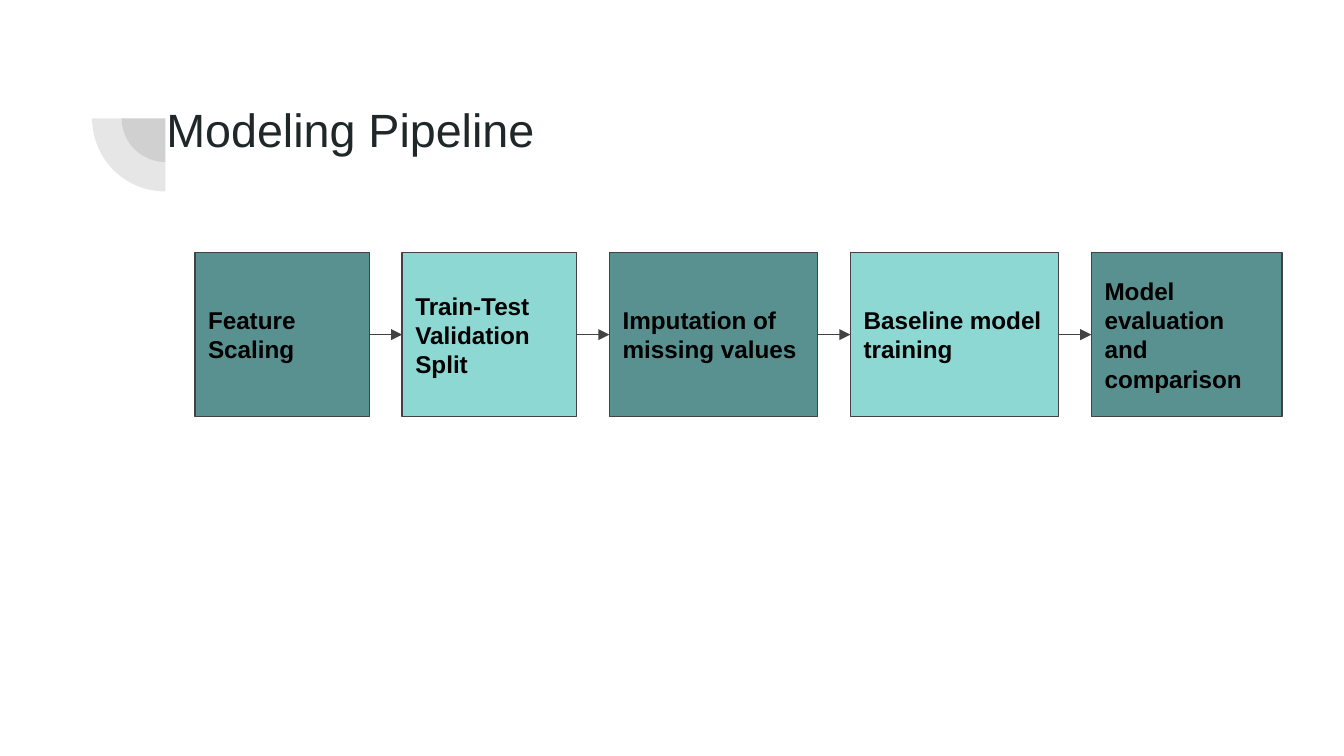
from dataclasses import dataclass

from lxml import etree
from pptx import Presentation
from pptx.dml.color import RGBColor
from pptx.enum.shapes import MSO_CONNECTOR, MSO_SHAPE
from pptx.enum.text import MSO_ANCHOR, PP_ALIGN
from pptx.oxml.ns import qn
from pptx.shapes.autoshape import Shape
from pptx.slide import Slide
from pptx.text.text import TextFrame
from pptx.util import Inches, Pt

FONT = "Arial"
DARK_TEAL = RGBColor(0x59, 0x91, 0x91)
LIGHT_TEAL = RGBColor(0x8D, 0xD8, 0xD3)
GRAY = RGBColor(0x42, 0x42, 0x42)
TITLE_COLOR = RGBColor(0x20, 0x27, 0x29)
BLACK = RGBColor(0x00, 0x00, 0x00)

SLIDE_WIDTH = Inches(10)
SLIDE_HEIGHT = SLIDE_WIDTH * 9 // 16
ROW_LEFT, ROW_RIGHT, ROW_TOP, ROW_HEIGHT = 1.45, 9.54, 1.88, 1.22
LINE_WIDTH = Pt(0.75)
ARC_CENTER_X, ARC_CENTER_Y = 1.23, 0.88


@dataclass
class Step:
    lines: list[str]
    width: float
    color: RGBColor


STEPS = [
    Step(["Feature", "Scaling"], 1.3, DARK_TEAL),
    Step(["Train-Test Validation Split"], 1.3, LIGHT_TEAL),
    Step(["Imputation of missing values"], 1.55, DARK_TEAL),
    Step(["Baseline model training"], 1.55, LIGHT_TEAL),
    Step(["Model evaluation and comparison"], 1.42, DARK_TEAL),
]


def write_text(frame: TextFrame, lines: list[str], size: float, color: RGBColor,
               bold: bool, anchor: MSO_ANCHOR) -> None:
    frame.word_wrap = True
    frame.vertical_anchor = anchor
    frame.margin_left = frame.margin_right = Inches(0.1)
    frame.margin_top = frame.margin_bottom = Inches(0.1)
    frame.text = "\n".join(lines)
    for paragraph in frame.paragraphs:
        paragraph.alignment = PP_ALIGN.LEFT
        paragraph.font.name = FONT
        paragraph.font.size = Pt(size)
        paragraph.font.bold = bold
        paragraph.font.color.rgb = color


def add_quarter_circle(slide: Slide, diameter: float) -> None:
    shape = slide.shapes.add_shape(
        MSO_SHAPE.PIE, Inches(ARC_CENTER_X - diameter / 2),
        Inches(ARC_CENTER_Y - diameter / 2), Inches(diameter), Inches(diameter))
    shape.adjustments[0] = 107.928
    shape.adjustments[1] = 162
    shape.rotation = 270
    shape.shadow.inherit = False
    shape.line.fill.background()
    shape.fill.solid()
    shape.fill.fore_color.rgb = GRAY
    color = shape._element.spPr.find(qn("a:solidFill")).find(qn("a:srgbClr"))
    etree.SubElement(color, qn("a:alpha"), val="13000")


def add_step(slide: Slide, step: Step, left: float) -> Shape:
    shape = slide.shapes.add_shape(MSO_SHAPE.RECTANGLE, Inches(left), Inches(ROW_TOP),
                                   Inches(step.width), Inches(ROW_HEIGHT))
    shape.shadow.inherit = False
    shape.fill.solid()
    shape.fill.fore_color.rgb = step.color
    shape.line.color.rgb = GRAY
    shape.line.width = LINE_WIDTH
    write_text(shape.text_frame, step.lines, 13, BLACK, True, MSO_ANCHOR.MIDDLE)
    return shape


def add_arrow(slide: Slide, source: Shape, target: Shape) -> None:
    middle = source.top + source.height // 2
    connector = slide.shapes.add_connector(
        MSO_CONNECTOR.STRAIGHT, source.left + source.width, middle, target.left, middle)
    connector.begin_connect(source, 3)
    connector.end_connect(target, 1)
    connector.line.color.rgb = GRAY
    connector.line.width = LINE_WIDTH
    line = connector._element.spPr.find(qn("a:ln"))
    etree.SubElement(line, qn("a:tailEnd"), type="triangle")
    etree.SubElement(connector._element.spPr, qn("a:effectLst"))


def main() -> None:
    presentation = Presentation()
    presentation.slide_width = SLIDE_WIDTH
    presentation.slide_height = SLIDE_HEIGHT
    slide = presentation.slides.add_slide(presentation.slide_layouts[6])

    # Corner decoration
    for diameter in (0.65, 1.09):
        add_quarter_circle(slide, diameter)

    # Title
    title = slide.shapes.add_textbox(Inches(1.14), Inches(0.65), Inches(7.96), Inches(1.44))
    write_text(title.text_frame, ["Modeling Pipeline"], 25, TITLE_COLOR, False,
               MSO_ANCHOR.TOP)

    # Pipeline steps, spread evenly over the row
    total_width = sum(step.width for step in STEPS)
    gap = (ROW_RIGHT - ROW_LEFT - total_width) / (len(STEPS) - 1)
    boxes = []
    left = ROW_LEFT
    for step in STEPS:
        boxes.append(add_step(slide, step, left))
        left += step.width + gap

    # Arrows between neighbouring steps
    for source, target in zip(boxes, boxes[1:]):
        add_arrow(slide, source, target)

    presentation.save("out.pptx")


if __name__ == "__main__":
    main()
